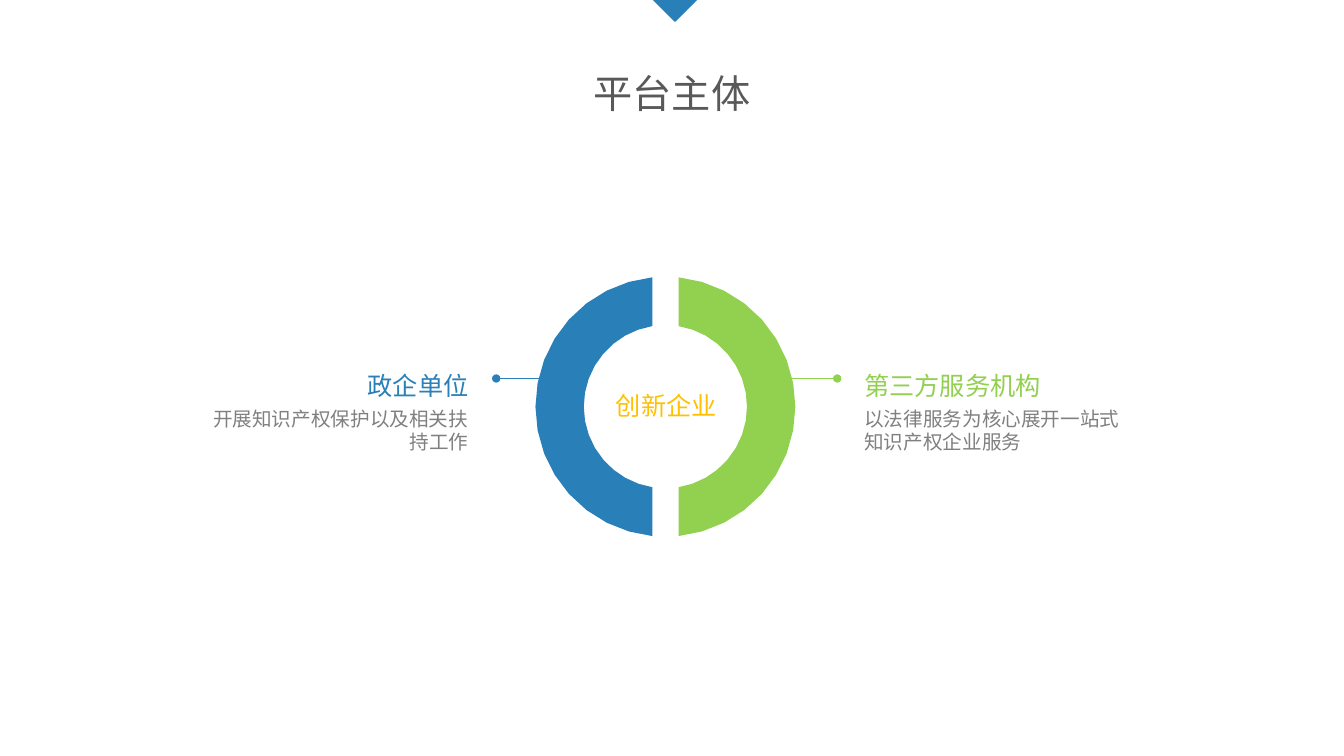
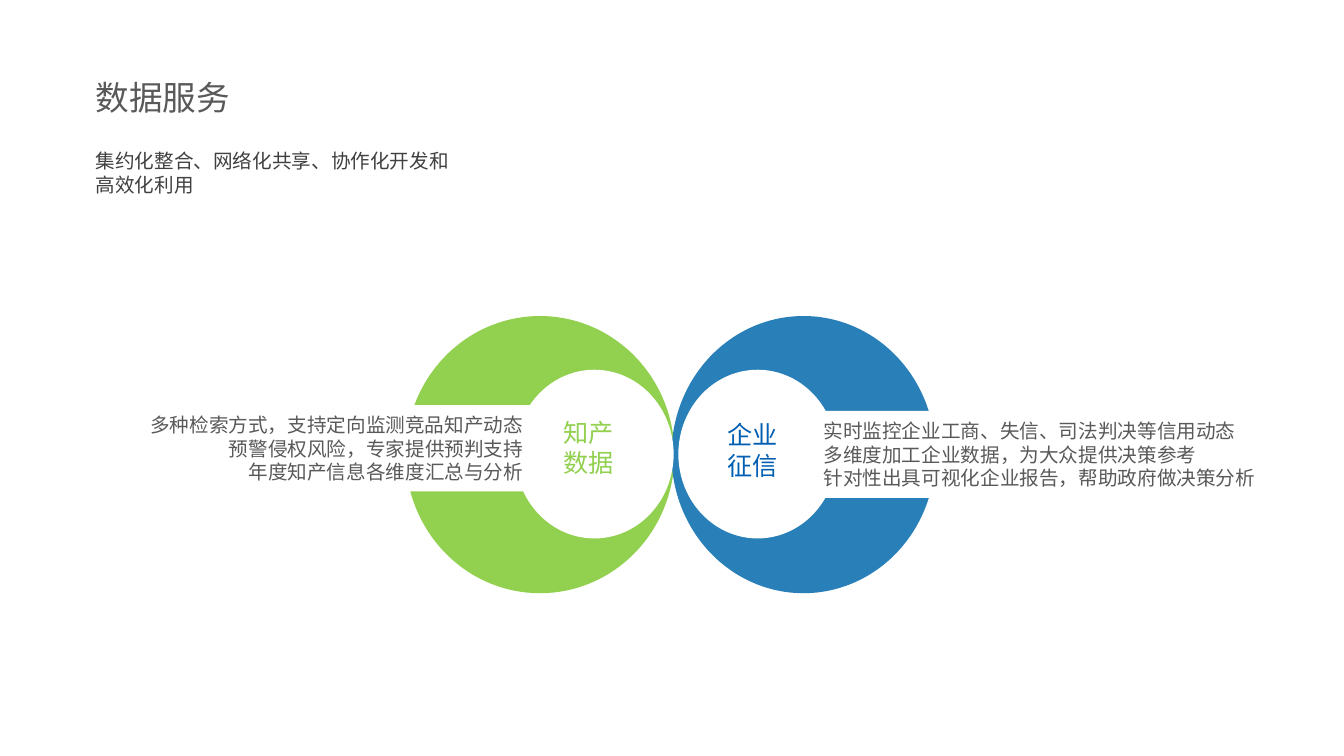
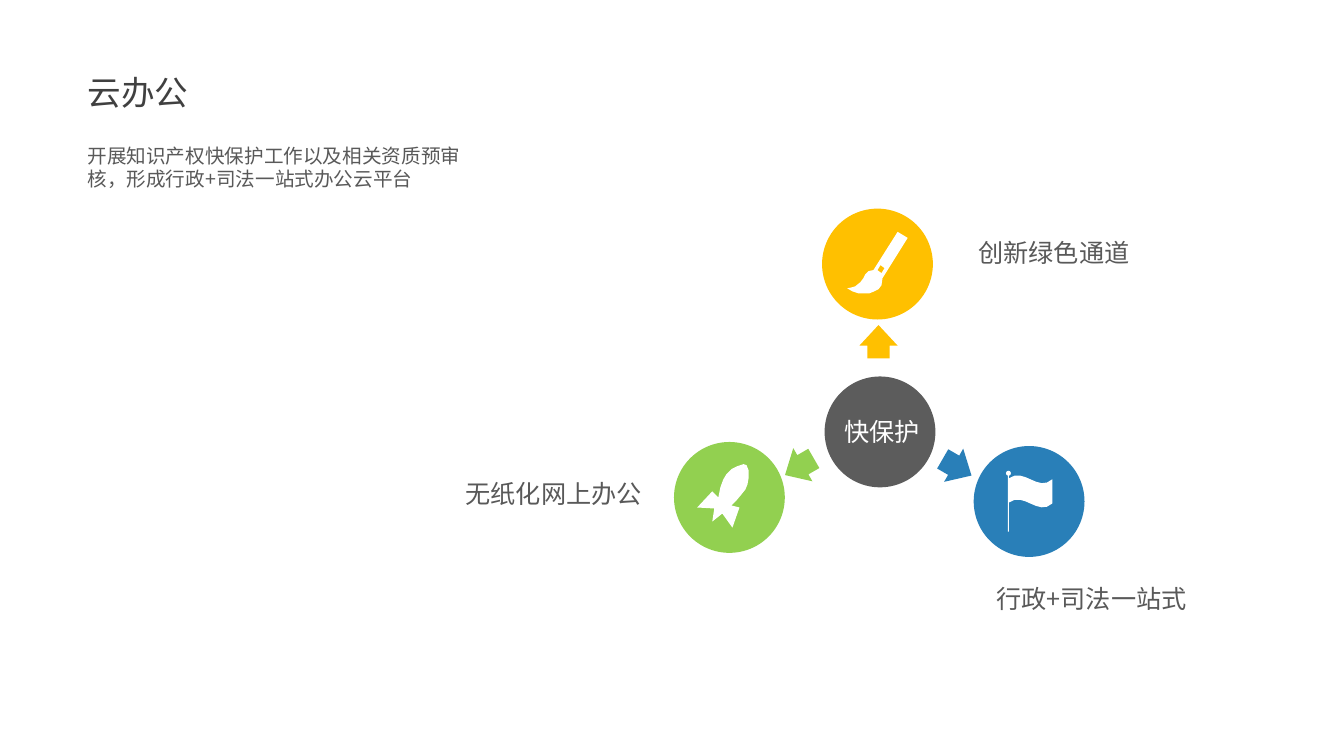
import math

import lxml.etree
import pptx
import pptx.dml.color
import pptx.enum.shapes
import pptx.enum.text
import pptx.oxml.ns
import pptx.util

RGB = pptx.dml.color.RGBColor
BLUE = RGB(0x29, 0x7F, 0xB8)
DEEP_BLUE = RGB(0x00, 0x5E, 0xB3)
GREEN = RGB(0x92, 0xD0, 0x50)
AMBER = RGB(0xFF, 0xC0, 0x00)
WHITE = RGB(0xFF, 0xFF, 0xFF)
INK = RGB(0x40, 0x40, 0x40)
SLATE = RGB(0x59, 0x59, 0x59)
HUB_GREY = RGB(0x5C, 0x5C, 0x5C)
GREY = RGB(0x80, 0x80, 0x80)

FONT = "Noto Sans CJK SC"
TITLE, HEADING, LABEL, BODY = 28, 24, 18, 14

SHAPE = pptx.enum.shapes.MSO_SHAPE
ALIGN = pptx.enum.text.PP_ALIGN
TOP = pptx.enum.text.MSO_ANCHOR.TOP
MIDDLE = pptx.enum.text.MSO_ANCHOR.MIDDLE
INSET = (1, 0.5)
FLUSH = (0, 0)

# The slide is a square grid of 133.4 columns by 75 rows.
WIDTH, HEIGHT = pptx.util.Inches(13.34), pptx.util.Inches(7.5)
ROWS = 75
COLUMNS = 133.4

# Icon outlines, in grid cells from the centre of their disc.
BRUSH = [(3, -2.6), (2, -3.2), (-0.4, 0.6), (-0.9, 0.7), (-1.2, 1), (-1.4, 1.4),
         (-1.7, 1.8), (-2.2, 2.2), (-2.5, 2.3), (-3, 2.4), (-2.5, 2.7),
         (-1.9, 2.9), (-1.4, 2.9), (-0.8, 2.9), (-0.3, 2.7), (0.1, 2.5),
         (0.4, 2.1), (0.5, 1.4)]
BRUSH_HOLE = [(0, 0.6), (0.3, 0.1), (0.7, 0.4), (0.4, 0.9)]
ROCKET = [(-0.7, 1.6), (0.3, 3), (1, 1), (0.2, 0.8), (0.7, 0.3), (1.2, -0.3),
          (1.6, -0.8), (1.8, -1.3), (1.9, -1.9), (1.9, -2.7), (1.7, -3.2),
          (1.4, -3.3), (0.8, -3.1), (0.2, -2.8), (-0.3, -2.3), (-0.6, -1.8),
          (-0.9, -1), (-1.1, 0), (-1.7, -0.6), (-3.2, 1), (-1.5, 1.1), (-1.7, 2.4)]


def cells(count):
    return round(HEIGHT * count / ROWS)


def place(area):
    return [cells(length) for length in area]


def around(centre, width, height):
    """Area of the given size about a centre."""
    return centre[0] - width / 2, centre[1] - height / 2, width, height


def arc(centre, radius, start, end, steps=16):
    """Points on a circle; degrees grow clockwise from the right."""
    angles = [math.radians(start + (end - start) * i / steps) for i in range(steps + 1)]
    return [(centre[0] + radius * math.cos(a), centre[1] + radius * math.sin(a))
            for a in angles]


def bezier(p0, p1, p2, p3, steps=8):
    points = []
    for t in (i / steps for i in range(steps + 1)):
        weights = ((1 - t) ** 3, 3 * t * (1 - t) ** 2, 3 * t * t * (1 - t), t ** 3)
        points.append(tuple(sum(w * c for w, c in zip(weights, axis))
                            for axis in zip(p0, p1, p2, p3)))
    return points


def flag_outline():
    wave = [(-2, -2.3), (-0.5, -3.4), (0.9, -0.9), (2.3, -2.2)]
    upper = bezier(*wave)
    lower = [(x, y + 2.4) for x, y in reversed(upper)]
    knob = arc((-2.05, -2.8), 0.25, 100, 440, steps=8)
    return knob + upper + lower + [(-2, 3), (-2.1, 3)]


def paint(shape, color, outlined=False):
    shape.shadow.inherit = False
    shape.fill.solid()
    shape.fill.fore_color.rgb = color
    if outlined:
        shape.line.color.rgb = color
        shape.line.width = pptx.util.Pt(1)
    else:
        shape.line.fill.background()
    return shape


def add_preset(page, kind, area, color, outlined=False):
    return paint(page.shapes.add_shape(kind, *place(area)), color, outlined)


def add_outline(page, contours, color, origin=(0, 0)):
    builder = None
    for contour in contours:
        points = [(cells(origin[0] + x), cells(origin[1] + y)) for x, y in contour]
        if builder is None:
            builder = page.shapes.build_freeform(*points[0], scale=1.0)
        else:
            builder.move_to(*points[0])
        builder.add_line_segments(points[1:], close=True)
    return paint(builder.convert_to_shape(), color)


def write(shape, lines, size, color, align=ALIGN.LEFT, anchor=TOP, inset=INSET,
          spacing=None):
    frame = shape.text_frame
    frame.word_wrap = True
    frame.vertical_anchor = anchor
    frame.margin_left = frame.margin_right = cells(inset[0])
    frame.margin_top = frame.margin_bottom = cells(inset[1])
    frame.text = "\n".join(lines)
    for para in frame.paragraphs:
        para.alignment = align
        para.line_spacing = spacing
        for span in para.runs:
            span.font.size = pptx.util.Pt(size)
            span.font.color.rgb = color
            span.font.name = FONT
            east_asian = lxml.etree.SubElement(span.font._element, pptx.oxml.ns.qn("a:ea"))
            east_asian.set("typeface", FONT)


def add_text(page, area, text, size, color, **style):
    write(page.shapes.add_textbox(*place(area)), [text], size, color, **style)


def add_heading(page, left, top, title, title_color, lead, lead_width, lead_color):
    add_text(page, (left, top, 39.2, 9.4), title, HEADING, title_color, anchor=MIDDLE)
    add_text(page, (left, top + 9.35, lead_width, 5.7), lead, BODY, lead_color)


def add_leader(page, start_x, end_x, y, color):
    """Thin line that ends in a dot."""
    line = page.shapes.add_connector(pptx.enum.shapes.MSO_CONNECTOR.STRAIGHT,
                                     *place((start_x, y, end_x, y)))
    line.line.color.rgb = color
    line.line.width = pptx.util.Pt(1)
    qn = pptx.oxml.ns.qn
    lxml.etree.SubElement(line.line._get_or_add_ln(), qn("a:tailEnd")).set("type", "oval")
    lxml.etree.SubElement(line._element.spPr, qn("a:effectLst"))


def add_half_ring(page, centre, facing, color):
    """Half of a ring, cut straight beside its axis; facing is 0 or 180 degrees."""
    outer, inner, cut = 12.9, 8.1, 1.3
    sweeps = [math.degrees(math.acos(cut / radius)) for radius in (outer, inner)]
    rim = arc(centre, outer, facing - sweeps[0], facing + sweeps[0])
    hole = arc(centre, inner, facing + sweeps[1], facing - sweeps[1])
    add_outline(page, [rim + hole], color)


def build_subjects(page):
    add_text(page, (6.7, 3, 120, 12.5), "平台主体", TITLE, SLATE,
             align=ALIGN.CENTER, anchor=MIDDLE)
    centre = (66.05, 40.35)
    add_text(page, (60.15, 37.6, 13.1, 4.6), "创新企业", LABEL, AMBER, spacing=1.2)
    sides = [
        (180, BLUE, (53.9, 49.25), 21.1, ALIGN.RIGHT, "政企单位",
         "开展知识产权保护以及相关扶持工作"),
        (0, GREEN, (78.4, 83.1), 85.8, ALIGN.LEFT, "第三方服务机构",
         "以法律服务为核心展开一站式知识产权企业服务"),
    ]
    for facing, color, leader, left, align, name, detail in sides:
        add_leader(page, *leader, 37.55, color)
        add_half_ring(page, centre, facing, color)
        add_text(page, (left, 35.45, 25.4, 4.9), name, LABEL, color, align=align,
                 anchor=MIDDLE, inset=FLUSH, spacing=1.2)
        add_text(page, (left, 40.35, 25.4, 8), detail, BODY, GREY, align=align,
                 inset=FLUSH)
    pointer = add_preset(page, SHAPE.RIGHT_TRIANGLE,
                         around((COLUMNS / 2 + 0.3, -0.1), 3.1, 3.1), BLUE, outlined=True)
    pointer.rotation = 315


def build_data_service(page):
    add_heading(page, 8.5, 4.95, "数据服务", SLATE,
                "集约化整合、网络化共享、协作化开发和高效化利用", 38.2, INK)
    rings = [
        ((40.25, 26.7), 51.2, GREEN, (10.85, 40.2, 42.1, 8.55), ALIGN.RIGHT,
         ["多种检索方式，支持定向监测竞品知产动态",
          "预警侵权风险，专家提供预判支持",
          "年度知产信息各维度汇总与分析"],
         (54.95, 40.9), "知产数据", GREEN),
        ((66.65, 26.2), 67.4, BLUE, (80.75, 40.75, 50.2, 8.65), ALIGN.LEFT,
         ["实时监控企业工商、失信、司法判决等信用动态",
          "多维度加工企业数据，为大众提供决策参考",
          "针对性出具可视化企业报告，帮助政府做决策分析"],
         (71.2, 41.15), "企业征信", DEEP_BLUE),
    ]
    for (left, width), hole_left, color, *_ in rings:
        add_preset(page, SHAPE.OVAL, (left, 31.35, width, 27.5), color)
    for _, hole_left, _, band, align, lines, spot, name, ink in rings:
        add_preset(page, SHAPE.OVAL, (hole_left, 36.75, 15.6, 16.6), WHITE, outlined=True)
        panel = add_preset(page, SHAPE.RECTANGLE, band, WHITE)
        write(panel, lines, BODY, SLATE, align=align, anchor=MIDDLE)
        add_text(page, (*spot, 8, 7), name, LABEL, ink)


def build_cloud_office(page):
    add_heading(page, 7.7, 4.4, "云办公", INK,
                "开展知识产权快保护工作以及相关资质预审核，形成行政+司法一站式办公云平台",
                40, SLATE)
    disc = 11
    nodes = [
        ((87.1, 26.2), AMBER, [BRUSH, BRUSH_HOLE], (87.2, 33.9), 0,
         "创新绿色通道", (92.85, 23.05, 23.5, 4)),
        ((102.15, 49.75), BLUE, [flag_outline()], (95, 46.35), 120,
         "行政+司法一站式", (96.6, 57.4, 23.5, 4)),
        ((72.4, 49.35), GREEN, [ROCKET], (79.35, 46.3), 240,
         "无纸化网上办公", (45.05, 47, 19.8, 4)),
    ]
    for centre, color, icon, arrow_centre, turn, name, label_area in nodes:
        add_preset(page, SHAPE.OVAL, around(centre, disc, disc), color)
        add_outline(page, icon, WHITE, origin=centre)
        arrow = add_preset(page, SHAPE.UP_ARROW, around(arrow_centre, 3.8, 3.3), color)
        arrow.adjustments[0], arrow.adjustments[1] = 0.58, 0.62
        arrow.rotation = turn
        add_text(page, label_area, name, LABEL, SLATE, align=ALIGN.CENTER)
    add_preset(page, SHAPE.OVAL, around((87.35, 42.85), disc, disc), HUB_GREY)
    add_text(page, (81.25, 40.8, 12.6, 4), "快保护", LABEL, WHITE, align=ALIGN.CENTER)


def main():
    deck = pptx.Presentation()
    deck.slide_width, deck.slide_height = WIDTH, HEIGHT
    blank = deck.slide_layouts[6]
    for build in (build_subjects, build_data_service, build_cloud_office):
        build(deck.slides.add_slide(blank))
    deck.save("out.pptx")


if __name__ == "__main__":
    main()
